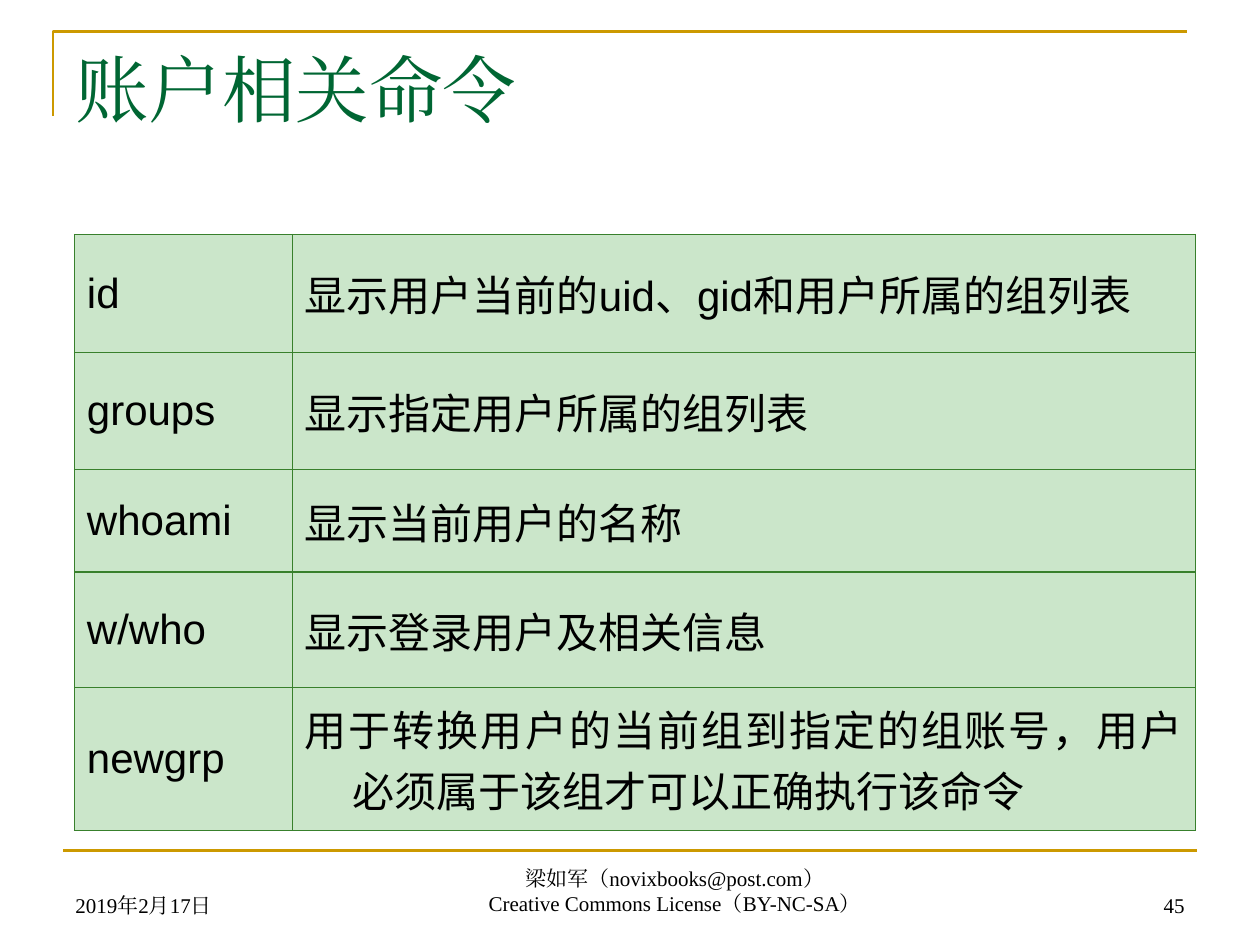
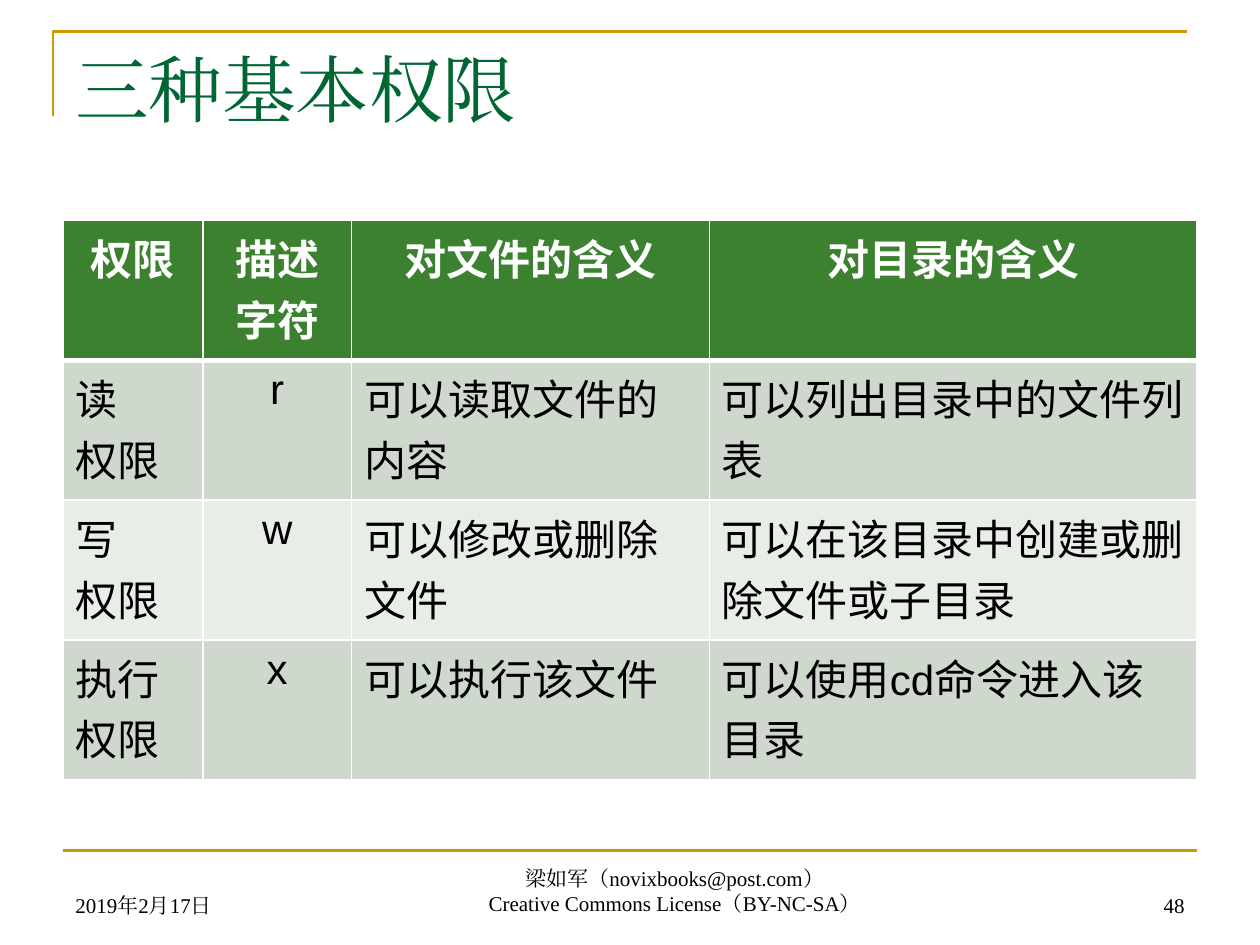
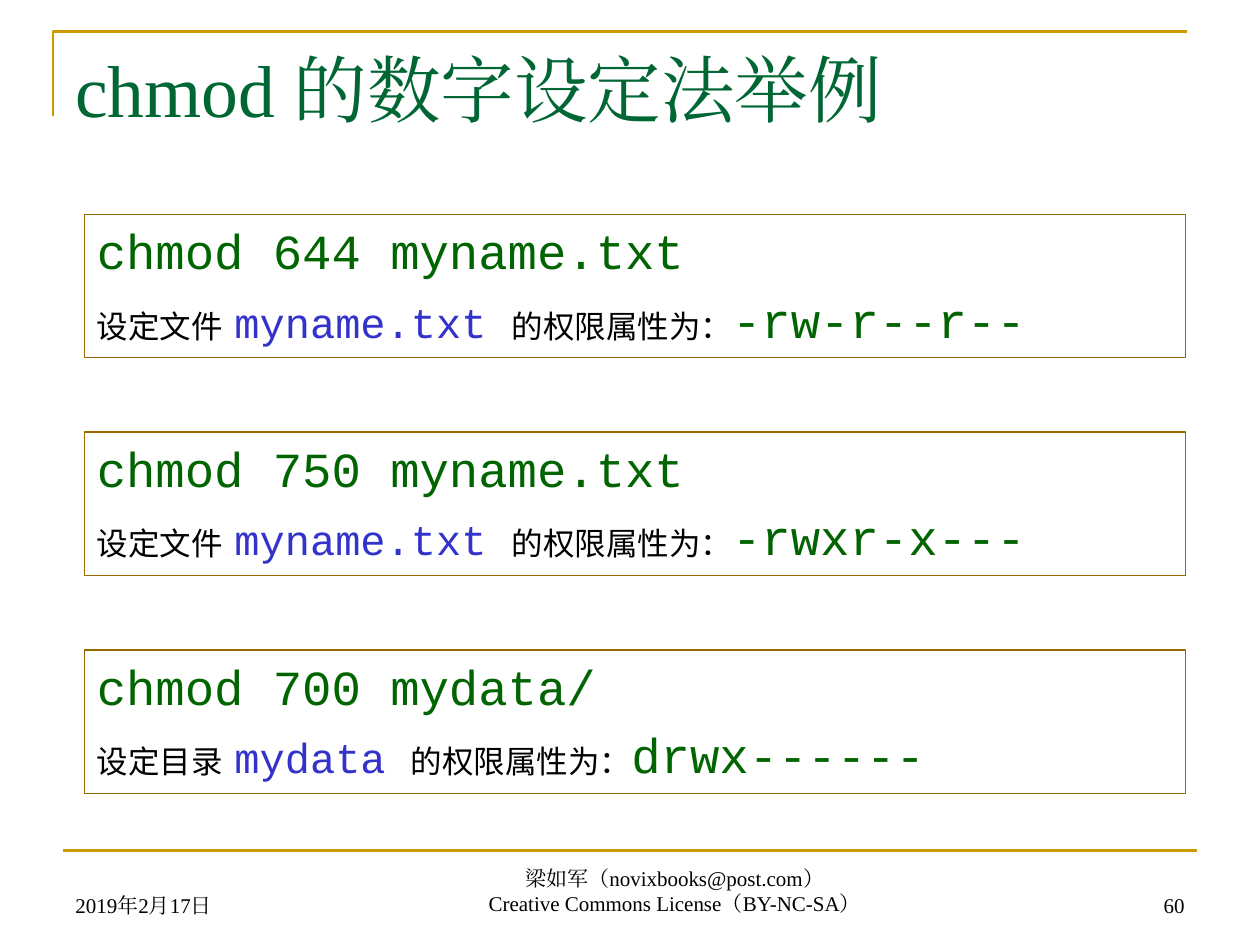
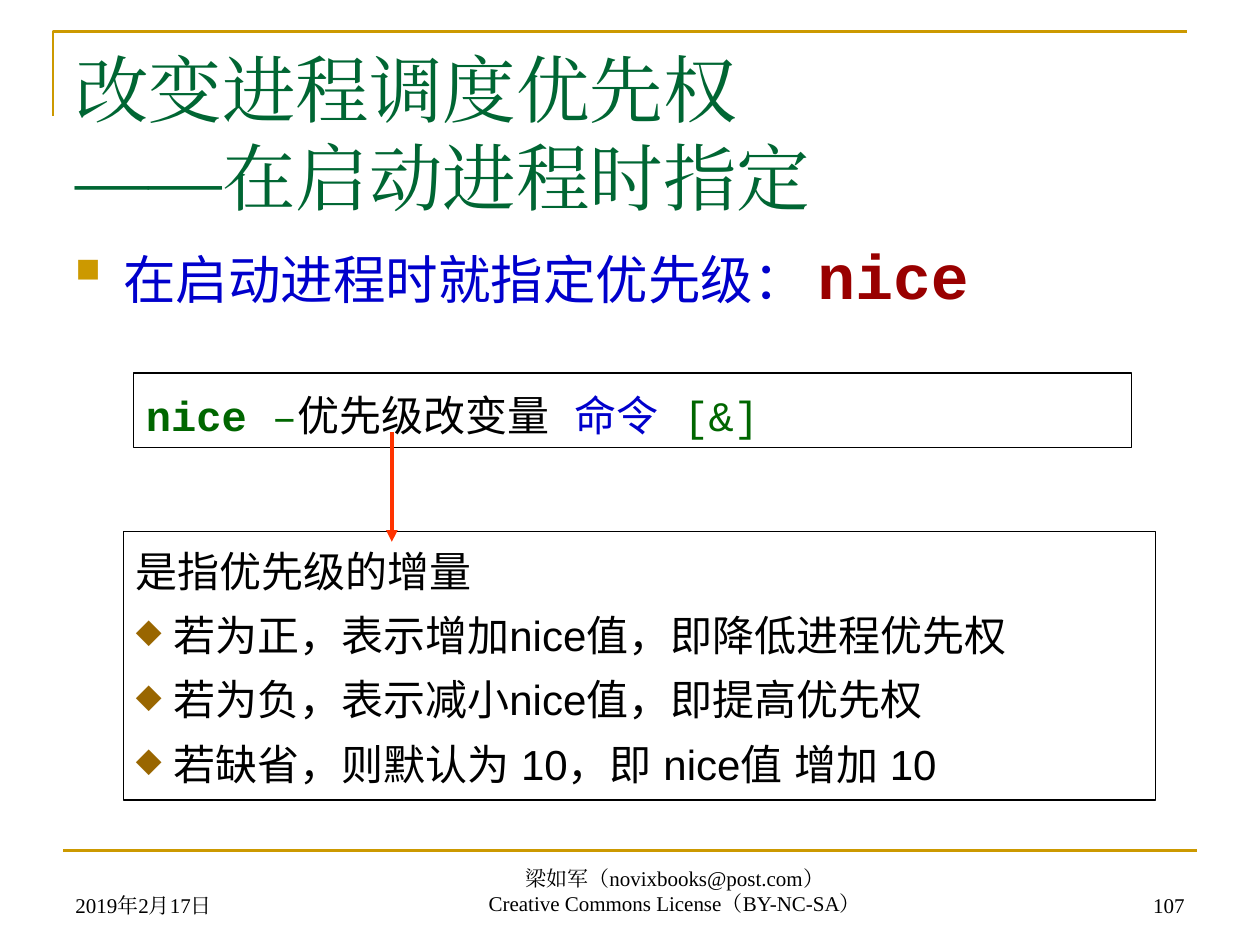
import pptx
import pptx.dml.color
import pptx.enum.dml
import pptx.enum.shapes
import pptx.enum.text
import pptx.oxml
import pptx.oxml.ns
import pptx.util
from dataclasses import dataclass
from lxml import etree

Inches, Pt = pptx.util.Inches, pptx.util.Pt
RGB = pptx.dml.color.RGBColor.from_string
ALIGN = pptx.enum.text.PP_ALIGN
ANCHOR = pptx.enum.text.MSO_ANCHOR
SHAPE = pptx.enum.shapes.MSO_SHAPE
STRAIGHT = pptx.enum.shapes.MSO_CONNECTOR.STRAIGHT
qn = pptx.oxml.ns.qn


@dataclass(frozen=True)
class Theme:
    """Colours, fonts and type sizes of the deck."""
    gold: str = "CC9900"
    brown: str = "996600"
    title_green: str = "006633"
    code_green: str = "006400"
    syntax_green: str = "006600"
    grid_green: str = "38802C"
    pale_green: str = "CBE6CA"
    header_green: str = "3B812F"
    band_dark: str = "CED8CD"
    band_light: str = "E8EDE8"
    file_blue: str = "3333CC"
    blue: str = "0000CC"
    red: str = "990000"
    arrow_red: str = "FF3300"
    black: str = "000000"
    white: str = "FFFFFF"
    serif: str = "Times New Roman"
    sans: str = "Arial"
    mono: str = "Courier New"
    chinese: str = "Noto Sans CJK SC"
    title: int = 42
    keyword: int = 36
    lead: int = 30
    code: int = 28
    body: int = 24
    label: int = 18
    footer: int = 12


theme = Theme()


def write(frame, lines, align=ALIGN.LEFT, anchor=ANCHOR.TOP, before=0,
          spacing=1.0, hanging=0, bullet=None, asian=None):
    """Fill a text frame; a line is a list of (text, size, font, colour, bold)."""
    frame.word_wrap = True
    frame.vertical_anchor = anchor
    for index, spans in enumerate(lines):
        para = frame.paragraphs[0] if index == 0 else frame.add_paragraph()
        para.alignment = align
        para.line_spacing = spacing
        para.space_before = Pt(before)
        properties = para._p.get_or_add_pPr()
        if hanging:
            properties.set("marL", str(Inches(hanging)))
            properties.set("indent", str(-Inches(hanging)))
        if bullet and index >= bullet["start"]:
            colour = etree.SubElement(properties, qn("a:buClr"))
            etree.SubElement(colour, qn("a:srgbClr"), val=bullet["colour"])
            etree.SubElement(properties, qn("a:buSzPct"), val=str(bullet["percent"] * 1000))
            etree.SubElement(properties, qn("a:buChar"), char=bullet["mark"])
        for text, size, font, colour, bold in spans:
            span = para.add_run()
            span.text = text
            span.font.size = Pt(size)
            span.font.name = font
            span.font.bold = bold
            span.font.color.rgb = RGB(colour)
            east = etree.SubElement(span._r.get_or_add_rPr(), qn("a:ea"))
            east.set("typeface", asian or font)


def style_cell(cell, fill, line_colour, widths):
    """Give a cell its fill and its left, right, top and bottom borders."""
    cell.fill.solid()
    cell.fill.fore_color.rgb = RGB(fill)
    properties = cell._tc.get_or_add_tcPr()
    for index, (side, width) in enumerate(zip("LRTB", widths)):
        border = etree.Element(qn("a:ln" + side), w=str(Pt(width)))
        paint = etree.SubElement(border, qn("a:solidFill"))
        etree.SubElement(paint, qn("a:srgbClr"), val=line_colour)
        properties.insert(index, border)


deck = pptx.Presentation()
deck.slide_width, deck.slide_height = Inches(10), Inches(7.5)

# Shared frame: corner line, bottom rule, title and footer
footers = [
    (0.5, 6.83, 2.33, ALIGN.LEFT, ["2019年2月17日"]),
    (2.4, 6.82, 5.91, ALIGN.CENTER,
     ["梁如军（novixbooks@post.com）", "Creative Commons License（BY-NC-SA）"]),
]
headings = [
    (["账户相关命令"], 0.77, "45"),
    (["三种基本权限"], 1.25, "48"),
    (["chmod 的数字设定法举例"], 1.25, "60"),
    (["改变进程调度优先权", "——在启动进程时指定"], 1.52, "107"),
]
pages = []
for title_lines, title_height, number in headings:
    page = deck.slides.add_slide(deck.slide_layouts[6])
    pages.append(page)
    pen = page.shapes.build_freeform(Inches(0.42), Inches(0.92), scale=1.0)
    pen.add_line_segments([(Inches(0.42), Inches(0.25)), (Inches(9.42), Inches(0.25))],
                          close=False)
    corner = pen.convert_to_shape()
    corner.fill.background()
    corner.shadow.inherit = False
    rule = page.shapes.add_connector(STRAIGHT, Inches(0.5), Inches(6.75),
                                     Inches(9.5), Inches(6.75))
    etree.SubElement(rule._element.spPr, qn("a:effectLst"))
    for stroke in (corner, rule):
        stroke.line.color.rgb = RGB(theme.gold)
        stroke.line.width = Pt(1.5)
    box = page.shapes.add_textbox(Inches(0.5), Inches(0.3), Inches(9), Inches(title_height))
    write(box.text_frame, [[(text, theme.title, theme.serif, theme.title_green, False)]
                           for text in title_lines])
    for left, top, width, align, lines in footers + [(7.17, 6.83, 2.33, ALIGN.RIGHT, [number])]:
        box = page.shapes.add_textbox(Inches(left), Inches(top), Inches(width), Inches(0.5))
        write(box.text_frame, [[(text, theme.footer, theme.serif, theme.black, False)]
                               for text in lines], align, ANCHOR.BOTTOM)
accounts, permissions, chmod, priority = pages

# Tables: account commands and the three permissions
command_rows = [
    ["id", "显示用户当前的uid、gid和用户所属的组列表"],
    ["groups", "显示指定用户所属的组列表"],
    ["whoami ", "显示当前用户的名称"],
    ["w/who", "显示登录用户及相关信息"],
    ["newgrp", "用于转换用户的当前组到指定的组账号，用户必须属于该组才可以正确执行该命令"],
]
permission_rows = [
    ["权限", "描述字符", "对文件的含义", "对目录的含义"],
    ["读\n权限", "r", "可以读取文件的内容", "可以列出目录中的文件列表"],
    ["写\n权限", "w", "可以修改或删除文件", "可以在该目录中创建或删除文件或子目录"],
    ["执行权限", "x", "可以执行该文件", "可以使用cd命令进入该目录"],
]
tables = [
    (accounts, 0.59, 1.86, [1.73, 7.17], [0.94, 0.93, 0.81, 0.92, 1.13], command_rows),
    (permissions, 0.5, 1.75, [1.11, 1.18, 2.84, 3.87], [1.11] * 4, permission_rows),
]
for page, left, top, widths, heights, rows in tables:
    table = page.shapes.add_table(len(rows), len(widths), Inches(left), Inches(top),
                                  Inches(sum(widths)), Inches(sum(heights))).table
    table.first_row = table.horz_banding = False
    for column, width in zip(table.columns, widths):
        column.width = Inches(width)
    for row, height in zip(table.rows, heights):
        row.height = Inches(height)
    for r, texts in enumerate(rows):
        for c, text in enumerate(texts):
            cell = table.cell(r, c)
            header = page is permissions and r == 0
            colour = theme.white if header else theme.black
            lines = [[(part, theme.body, theme.sans, colour, header)]
                     for part in text.split("\n")]
            if page is accounts:
                write(cell.text_frame, lines, ALIGN.JUSTIFY, hanging=0.38, asian=theme.chinese)
                cell.vertical_anchor = ANCHOR.MIDDLE
                style_cell(cell, theme.pale_green, theme.grid_green, [0.75] * 4)
            else:
                align = ALIGN.CENTER if header or c == 1 else ALIGN.LEFT
                write(cell.text_frame, lines, align, asian=theme.chinese)
                band = theme.band_dark if r % 2 else theme.band_light
                style_cell(cell, theme.header_green if header else band, theme.white,
                           [1, 1, 3 if r == 1 else 1, 3 if header else 1])

# Outlined boxes: chmod examples, nice syntax and its explanation
examples = [
    ("chmod 644 myname.txt", "设定文件", "myname.txt ", "-rw-r--r-- "),
    ("chmod 750 myname.txt", "设定文件", "myname.txt ", "-rwxr-x--- "),
    ("chmod 700 mydata/", "设定目录", "mydata ", "drwx------ "),
]
panels = []
for index, (command, action, target, mode) in enumerate(examples):
    lines = [
        [(command, theme.code, theme.mono, theme.code_green, False)],
        [(action, theme.label, theme.mono, theme.black, False),
         (" ", theme.body, theme.sans, theme.file_blue, False),
         (target, theme.body, theme.mono, theme.file_blue, False),
         ("的权限属性为：", theme.label, theme.mono, theme.black, False),
         (mode, theme.code, theme.mono, theme.code_green, False)],
    ]
    panels.append((chmod, (0.67, 1.7 + 1.73 * index, 8.74, 1.14), theme.brown, lines,
                   {"before": 5.6}))

syntax = [[
    (text, theme.body, theme.mono, colour, bold) for text, colour, bold in [
        ("nice", theme.syntax_green, True),
        (" –", theme.syntax_green, False),
        ("优先级改变量 ", theme.black, False),
        ("命令 ", theme.blue, False),
        ("[&]", theme.syntax_green, False),
    ]
]]
meaning = [[(text, theme.body, theme.sans, theme.black, False)] for text in [
    "是指优先级的增量",
    " 若为正，表示增加nice值，即降低进程优先权",
    " 若为负，表示减小nice值，即提高优先权",
    " 若缺省，则默认为 10，即 nice值 增加 10",
]]
diamond = {"mark": "◆", "colour": theme.brown, "percent": 80, "start": 1}
panels += [
    (priority, (1.06, 2.96, 7.92, 0.59), theme.black, syntax, {"spacing": 1.2}),
    (priority, (0.98, 4.22, 8.19, 2.13), theme.black, meaning,
     {"spacing": 1.15, "before": 3.6, "bullet": diamond}),
]
for page, place, colour, lines, layout in panels:
    panel = page.shapes.add_shape(SHAPE.RECTANGLE, *[Inches(length) for length in place])
    panel.shadow.inherit = False
    panel.fill.background()
    panel.line.color.rgb = RGB(colour)
    panel.line.width = Pt(0.75)
    write(panel.text_frame, lines, **layout)

# Lead line and arrow of the priority page
lead = priority.shapes.add_textbox(Inches(0.5), Inches(1.83), Inches(9), Inches(0.74))
write(lead.text_frame,
      [[("在启动进程时就指定优先级： ", theme.lead, theme.chinese, theme.blue, False),
        ("nice", theme.keyword, theme.mono, theme.red, True)]],
      before=6, hanging=0.38,
      bullet={"mark": "■", "colour": theme.gold, "percent": 65, "start": 0})
arrow = priority.shapes.add_connector(STRAIGHT, Inches(3.11), Inches(3.43),
                                      Inches(3.11), Inches(4.3))
arrow.line.color.rgb = RGB(theme.arrow_red)
arrow.line.width = Pt(2.25)
etree.SubElement(arrow.line._get_or_add_ln(), qn("a:tailEnd"), type="triangle")
etree.SubElement(arrow._element.spPr, qn("a:effectLst"))

deck.save("out.pptx")
